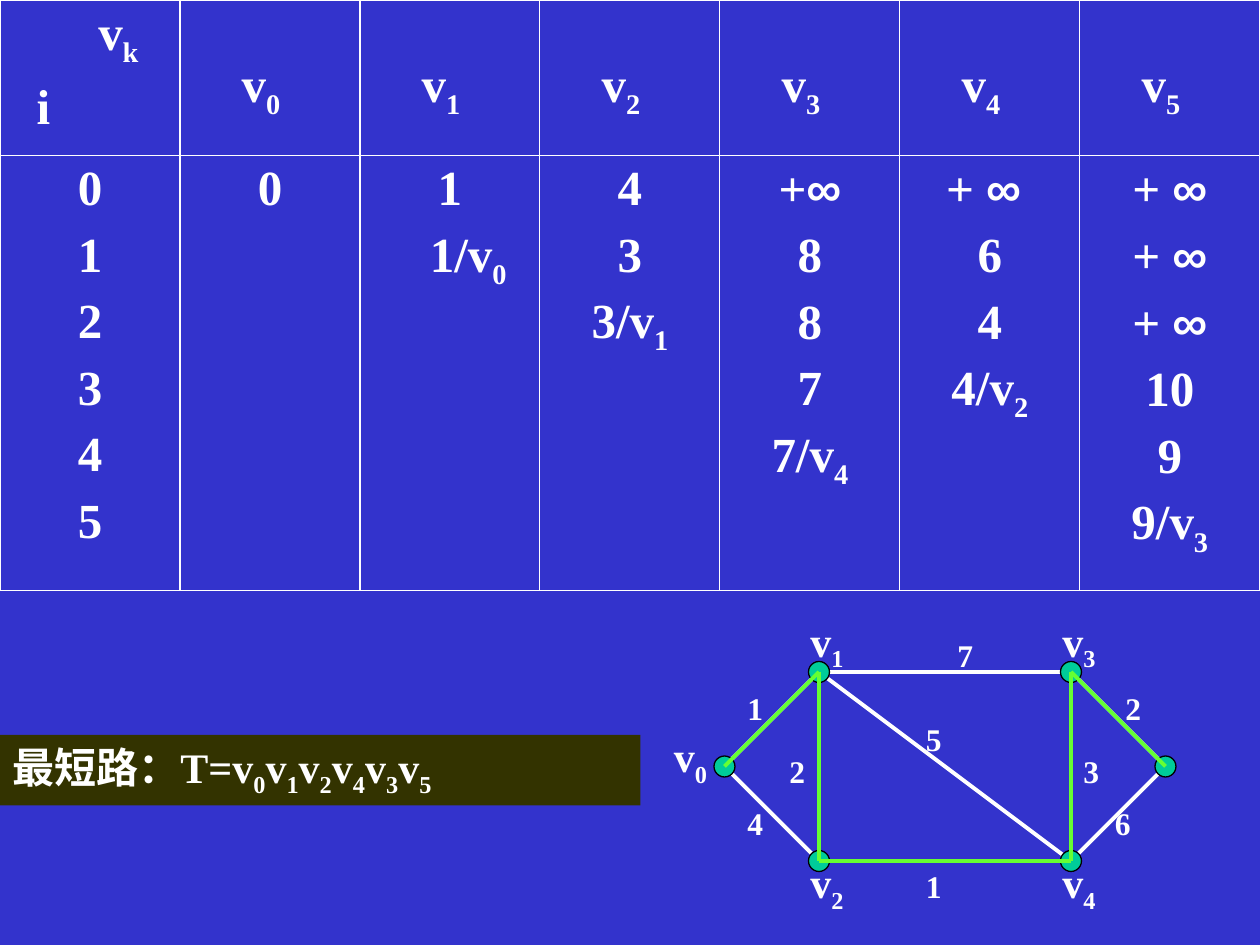
"""Builds a slide with a shortest-path label table and its weighted graph."""
from dataclasses import dataclass
from itertools import groupby

from lxml.etree import SubElement
from pptx import Presentation
from pptx.dml.color import RGBColor
from pptx.enum.shapes import MSO_CONNECTOR as Connector, MSO_SHAPE as Preset
from pptx.enum.text import PP_ALIGN as Align
from pptx.oxml.ns import qn
from pptx.util import Inches, Length, Pt

COLORS = {"background": "3333CC", "text": "FFFFFF", "edge": "FFFFFF", "path": "66FF33",
          "node": "00CC99", "outline": "000000", "bar": "333300"}
FONT, SYMBOL_FONT = "Times New Roman", "Arial"
WIDTH, HEIGHT = Inches(10), Inches(7.5)
UNITS_ACROSS = 120
HEADER_SHARE, BODY_SHARE = 0.16, 0.46
NODE_SIZE = 2


@dataclass(frozen=True)
class Node:
    """A graph vertex at a grid column and row, with its label's offset."""
    column: int
    row: int
    label: str = ""
    shift: tuple[int, int] = (0, 0)


@dataclass(frozen=True)
class Edge:
    """A weighted edge, with the grid place of its weight."""
    start: str
    end: str
    weight: str
    column: int
    row: int
    on_path: bool = False


@dataclass(frozen=True)
class Entry:
    """A table paragraph with its indents in inches."""
    text: str
    left: float = 0
    right: float = 0


NODES = {
    "v0": Node(69, 73, "v_0", (-6, -4)),
    "v1": Node(78, 64, "v_1", (-2, -6)),
    "v2": Node(78, 82, "v_2", (-2, -1)),
    "v3": Node(102, 64, "v_3", (-2, -6)),
    "v4": Node(102, 82, "v_4", (-2, -1)),
    "v5": Node(111, 73),
}
EDGES = [
    Edge("v1", "v2", "2", 74, 71, True),
    Edge("v1", "v3", "7", 90, 60),
    Edge("v2", "v4", "1", 87, 82, True),
    Edge("v3", "v4", "3", 102, 71, True),
    Edge("v3", "v5", "2", 106, 65, True),
    Edge("v4", "v5", "6", 105, 76),
    Edge("v2", "v0", "4", 70, 76),
    Edge("v1", "v0", "1", 70, 65, True),
    Edge("v1", "v4", "5", 87, 68),
]
CORNER = [Entry("v_k", 0.68), Entry("i", 0.19)]
COLUMNS = [
    [Entry(str(step)) for step in range(6)],
    [Entry("0")],
    [Entry("1"), Entry("1/v_0", 0.29)],
    [Entry("4"), Entry("3"), Entry("3/v_1")],
    [Entry("+∞"), Entry("8"), Entry("8"), Entry("7"), Entry("7/v_4")],
    [Entry("+ ∞", right=0.1), Entry("6"), Entry("4"), Entry("4/v_2")],
    [Entry("+ ∞")] * 3 + [Entry("10"), Entry("9"), Entry("9/v_3")],
]


def grid(units: float) -> Length:
    """Convert grid units to a length."""
    return Length(round(WIDTH * units / UNITS_ACROSS))


def color(name: str) -> RGBColor:
    """Look up a palette colour."""
    return RGBColor.from_string(COLORS[name])


def write(paragraph, text: str, size: float) -> None:
    """Write bold text, lowering each character that follows an underscore."""
    first, *rest = text.split("_")
    marked = [(char, False) for char in first]
    for piece in rest:
        marked += [(char, index == 0) for index, char in enumerate(piece)]
    for (lowered, symbol), group in groupby(marked, key=lambda item: (item[1], item[0] == "∞")):
        run = paragraph.add_run()
        run.text = "".join(char for char, _ in group)
        run.font.size, run.font.bold = Pt(size), True
        run.font.name = SYMBOL_FONT if symbol else FONT
        run.font.color.rgb = color("text")
        if lowered:
            run.font._element.set("baseline", "-25000")


def add_label(shapes, text: str, column: int, row: int, width: float, height: float, size: float) -> None:
    """Add a text box at a grid place."""
    frame = shapes.add_textbox(grid(column), grid(row), grid(width), grid(height)).text_frame
    frame.word_wrap = True
    frame.paragraphs[0].space_before = Pt(size * 0.625)
    write(frame.paragraphs[0], text, size)


def add_edge(shapes, edge: Edge, color_name: str) -> None:
    """Draw an edge between two node centres."""
    start, end = NODES[edge.start], NODES[edge.end]
    line = shapes.add_connector(Connector.STRAIGHT, grid(start.column), grid(start.row),
                                grid(end.column), grid(end.row))
    line.line.color.rgb = color(color_name)
    line.line.width = Pt(2.25)
    SubElement(line._element.spPr, qn("a:effectLst"))


def add_node(shapes, node: Node) -> None:
    """Draw a node as a circle."""
    circle = shapes.add_shape(Preset.OVAL, grid(node.column - NODE_SIZE / 2),
                              grid(node.row - NODE_SIZE / 2), grid(NODE_SIZE), grid(NODE_SIZE))
    circle.shadow.inherit = False
    circle.fill.solid()
    circle.fill.fore_color.rgb = color("node")
    circle.line.color.rgb = color("outline")
    circle.line.width = Pt(0.75)


def add_graph(slide) -> None:
    """Draw the graph as a group, then the chosen path above it."""
    shapes = slide.shapes.add_group_shape().shapes
    for edge in EDGES:
        add_edge(shapes, edge, "edge")
    for node in NODES.values():
        add_node(shapes, node)
    for edge in EDGES:
        add_label(shapes, edge.weight, edge.column, edge.row, 6, 4.8, 18)
    for node in NODES.values():
        if node.label:
            add_label(shapes, node.label, node.column + node.shift[0], node.row + node.shift[1], 9, 6.7, 24)
    for edge in EDGES:
        if edge.on_path:
            add_edge(slide.shapes, edge, "path")


def add_answer(slide) -> None:
    """Add the bar that states the shortest path."""
    bar = slide.shapes.add_shape(Preset.RECTANGLE, 0, grid(70), grid(61), grid(6.7))
    bar.shadow.inherit = False
    bar.fill.solid()
    bar.fill.fore_color.rgb = color("bar")
    bar.line.fill.background()
    paragraph = bar.text_frame.paragraphs[0]
    paragraph.alignment, paragraph.space_before = Align.LEFT, Pt(15)
    write(paragraph, "最短路：T=v_0v_1v_2v_4v_3v_5", 24)


def fill_cell(cell, entries: list[Entry], alignment, line_spacing: float = 1, before: float = 7) -> None:
    """Border a cell and write its entries, one paragraph each."""
    properties = cell._tc.get_or_add_tcPr()
    for side in ("lnL", "lnR", "lnT", "lnB"):
        border = SubElement(properties, qn(f"a:{side}"), w=str(Pt(0.75)))
        SubElement(SubElement(border, qn("a:solidFill")), qn("a:srgbClr"), val=COLORS["edge"])
    cell.fill.background()
    frame = cell.text_frame
    for index, entry in enumerate(entries):
        paragraph = frame.add_paragraph() if index else frame.paragraphs[0]
        paragraph.alignment, paragraph.line_spacing = alignment, line_spacing
        paragraph.space_before = Pt(before)
        indents = paragraph._p.get_or_add_pPr()
        indents.set("marL", str(Inches(entry.left)))
        indents.set("marR", str(Inches(entry.right)))
        write(paragraph, entry.text, 28)


def add_label_table(slide) -> None:
    """Add the table of tentative distances per step."""
    heights = [round(HEIGHT * HEADER_SHARE * 1.03), round(HEIGHT * BODY_SHARE)]
    table = slide.shapes.add_table(2, len(COLUMNS), 0, 0, WIDTH, sum(heights)).table
    table.first_row = table.horz_banding = False
    for row, height in zip(table.rows, heights):
        row.height = height
    for index, entries in enumerate(COLUMNS):
        if index:
            fill_cell(table.cell(0, index), [Entry(f"v_{index - 1}", 0.39)], Align.LEFT, 1.85, 0)
        else:
            fill_cell(table.cell(0, index), CORNER, Align.LEFT)
        fill_cell(table.cell(1, index), entries, Align.CENTER)


def main() -> None:
    """Build and save the slide."""
    presentation = Presentation()
    presentation.slide_width, presentation.slide_height = WIDTH, HEIGHT
    slide = presentation.slides.add_slide(presentation.slide_layouts[6])
    slide.background.fill.solid()
    slide.background.fill.fore_color.rgb = color("background")
    add_graph(slide)
    add_answer(slide)
    add_label_table(slide)
    presentation.save("out.pptx")


if __name__ == "__main__":
    main()
